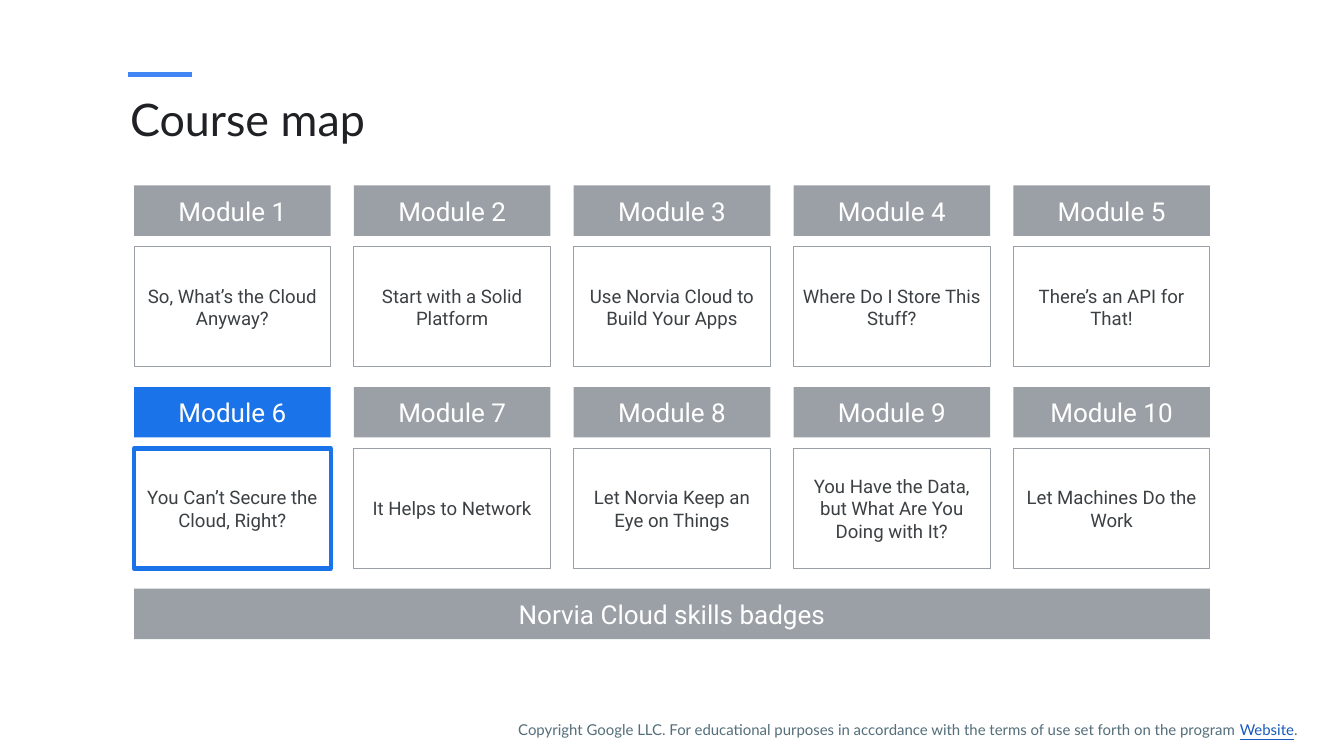
from lxml.etree import SubElement
from pptx import Presentation
from pptx.dml.color import RGBColor
from pptx.enum.shapes import MSO_CONNECTOR, MSO_SHAPE
from pptx.enum.text import MSO_ANCHOR, PP_ALIGN
from pptx.oxml.ns import qn
from pptx.util import Inches, Pt

# Content
TITLE = "Course map"
MODULES = [
    "So, What’s the Cloud Anyway?",
    "Start with a Solid Platform",
    "Use Norvia Cloud to Build Your Apps",
    "Where Do I Store This Stuff?",
    "There’s an API for That!",
    "You Can’t Secure the Cloud, Right?",
    "It Helps to Network",
    "Let Norvia Keep an Eye on Things",
    "You Have the Data, but What Are You Doing with It?",
    "Let Machines Do the Work",
]
CURRENT_MODULE = 6
BADGES = "Norvia Cloud skills badges"
COPYRIGHT = (
    "Copyright Google LLC. For educational purposes in accordance "
    "with the terms of use set forth on the program "
)
LINK_LABEL = "Website"

# Style
WHITE = RGBColor(0xFF, 0xFF, 0xFF)
GRAY = RGBColor(0x9A, 0xA0, 0xA6)
BLUE = RGBColor(0x1A, 0x73, 0xE8)
ACCENT_BLUE = RGBColor(0x42, 0x85, 0xF4)
LINK_BLUE = RGBColor(0x18, 0x5A, 0xBC)
TITLE_COLOR = RGBColor(0x20, 0x21, 0x24)
BODY_COLOR = RGBColor(0x3C, 0x40, 0x43)
FOOTER_COLOR = RGBColor(0x54, 0x6E, 0x7A)

# Grid, in inches
COLUMNS = 5
LEFT, TOP = 1.33, 1.84
COLUMN_STEP, ROW_STEP = 2.18, 2.0
CARD_WIDTH, CARD_HEIGHT = 1.95, 1.19
HEADER_HEIGHT = 0.5
CARD_OFFSET = 0.61
INSET = 0.07


def set_insets(frame, inset):
    frame.margin_left = frame.margin_right = Inches(inset)
    frame.margin_top = frame.margin_bottom = Inches(inset)
    frame.word_wrap = True


def set_font(font, name, size, color):
    font.name, font.size = name, Pt(size)
    font.color.rgb = color


def add_box(slide, left, top, width, height, text, size, color):
    shape = slide.shapes.add_shape(
        MSO_SHAPE.RECTANGLE, Inches(left), Inches(top), Inches(width), Inches(height)
    )
    shape.shadow.inherit = False
    frame = shape.text_frame
    set_insets(frame, INSET)
    frame.vertical_anchor = MSO_ANCHOR.MIDDLE
    paragraph = frame.paragraphs[0]
    paragraph.text = text
    paragraph.alignment = PP_ALIGN.CENTER
    set_font(paragraph.font, "Roboto", size, color)
    return shape


def add_banner(slide, left, top, width, text, fill):
    banner = add_box(slide, left, top, width, HEADER_HEIGHT, text, 18.6, WHITE)
    banner.fill.solid()
    banner.fill.fore_color.rgb = fill
    banner.line.fill.background()


def add_card(slide, left, top, text, color, line_width):
    card = add_box(slide, left, top, CARD_WIDTH, CARD_HEIGHT, text, 13.3, BODY_COLOR)
    card.fill.background()
    card.line.color.rgb = color
    card.line.width = Pt(line_width)


def add_text(slide, left, top, width, height, inset):
    box = slide.shapes.add_textbox(
        Inches(left), Inches(top), Inches(width), Inches(height)
    )
    set_insets(box.text_frame, inset)
    return box.text_frame.paragraphs[0]


def main():
    presentation = Presentation()
    presentation.slide_width = Inches(13.33)
    presentation.slide_height = Inches(7.5)
    slide = presentation.slides.add_slide(presentation.slide_layouts[6])

    # Accent line and title
    accent = slide.shapes.add_connector(
        MSO_CONNECTOR.STRAIGHT, Inches(1.27), Inches(0.74), Inches(1.9), Inches(0.74)
    )
    accent.line.color.rgb = ACCENT_BLUE
    accent.line.width = Pt(3)
    SubElement(accent.element.spPr, qn("a:effectLst"))

    title = add_text(slide, 1.22, 0.84, 10.77, 0.83, INSET)
    title.text = TITLE
    set_font(title.font, "Lato", 32, TITLE_COLOR)

    # Module grid
    for index, topic in enumerate(MODULES):
        row, column = divmod(index, COLUMNS)
        left = LEFT + column * COLUMN_STEP
        top = TOP + row * ROW_STEP
        number = index + 1
        is_current = number == CURRENT_MODULE
        color = BLUE if is_current else GRAY
        add_banner(slide, left, top, CARD_WIDTH, f"Module {number}", color)
        add_card(slide, left, top + CARD_OFFSET, topic, color, 3 if is_current else 0.75)

    # Badges bar under the grid
    bar_width = (COLUMNS - 1) * COLUMN_STEP + CARD_WIDTH
    add_banner(slide, LEFT, TOP + 2 * ROW_STEP, bar_width, BADGES, GRAY)

    # Copyright line
    footer = add_text(slide, 5.01, 7.02, 8.25, 0.38, 0.13)
    footer.line_spacing = 1.15
    set_font(footer.font, "Lato", 10.7, FOOTER_COLOR)
    footer.add_run().text = COPYRIGHT
    link = footer.add_run()
    link.text = LINK_LABEL
    link.font.color.rgb = LINK_BLUE
    link.font.underline = True
    footer.add_run().text = "."

    presentation.save("out.pptx")


if __name__ == "__main__":
    main()
